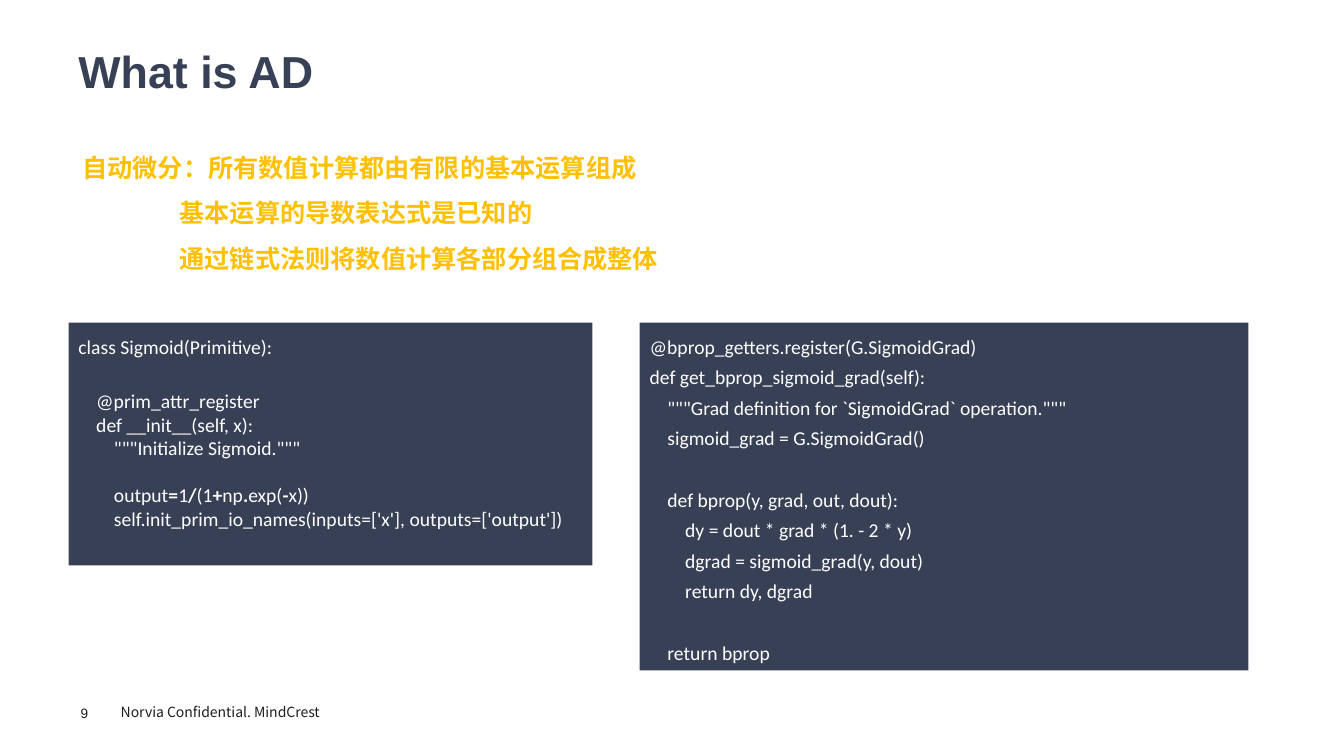
from lxml import etree
from pptx import Presentation
from pptx.dml.color import RGBColor
from pptx.enum.shapes import MSO_SHAPE
from pptx.enum.text import MSO_ANCHOR, PP_ALIGN
from pptx.oxml.ns import qn
from pptx.util import Pt

RECTANGLE = MSO_SHAPE.RECTANGLE
TOP, MIDDLE = MSO_ANCHOR.TOP, MSO_ANCHOR.MIDDLE
LEFT = PP_ALIGN.LEFT

COLORS = {"navy": "384056", "amber": "FFC000", "white": "FFFFFF", "ink": "1D1D1B"}
CJK_FONT = "Noto Sans CJK SC"
CODE_INDENT = 12.7


class SlideBuilder:
    def __init__(self, slide):
        self.slide = slide

    def line(self, frame, runs, size, font, color, first=False, bold=False,
             spacing=1.0, indent=0, gap=0):
        """Write one paragraph; every second run of a list is bold."""
        paragraph = frame.paragraphs[0] if first else frame.add_paragraph()
        paragraph.alignment = LEFT
        paragraph.line_spacing = spacing
        paragraph.space_before = Pt(gap)
        paragraph._p.get_or_add_pPr().set("marL", str(Pt(indent)))
        for number, words in enumerate([runs] if isinstance(runs, str) else runs):
            run = paragraph.add_run()
            run.text = words
            run.font.size = Pt(size)
            run.font.name = font
            run.font.bold = bold or number % 2 == 1
            run.font.color.rgb = RGBColor.from_string(COLORS[color])
            east_asian = etree.Element(qn("a:ea"), typeface=CJK_FONT)
            run._r.rPr.find(qn("a:latin")).addnext(east_asian)

    def text(self, box, lines, size, font, color, anchor=TOP, inset=True, **style):
        frame = self.slide.shapes.add_textbox(*map(Pt, box)).text_frame
        frame.word_wrap = True
        frame.vertical_anchor = anchor
        if not inset:
            frame.margin_left = frame.margin_right = 0
            frame.margin_top = frame.margin_bottom = 0
        for number, (words, indent) in enumerate(lines):
            self.line(frame, words, size, font, color, first=number == 0,
                      indent=indent, **style)

    def code(self, box, lines):
        """Each line is (indent level, runs, line spacing, gap above)."""
        panel = self.slide.shapes.add_shape(RECTANGLE, *map(Pt, box))
        panel.shadow.inherit = False
        panel.fill.solid()
        panel.fill.fore_color.rgb = RGBColor.from_string(COLORS["navy"])
        panel.line.fill.background()
        frame = panel.text_frame
        frame.word_wrap = True
        frame.vertical_anchor = TOP
        for number, (level, runs, spacing, gap) in enumerate(lines):
            self.line(frame, runs, 14, "Calibri", "white", first=number == 0,
                      spacing=spacing, indent=level * CODE_INDENT, gap=gap)


def main():
    deck = Presentation()
    deck.slide_width, deck.slide_height = Pt(960.5), Pt(540)
    builder = SlideBuilder(deck.slides.add_slide(deck.slide_layouts[6]))

    # Title
    builder.text((49, 27.4, 863, 46), [("What is AD", 0)], 32, "Arial", "navy",
                 anchor=MIDDLE, bold=True)

    # Principles of automatic differentiation
    builder.text((51.8, 94.3, 452, 101.5), [
        ("自动微分：所有数值计算都由有限的基本运算组成", 0),
        ("基本运算的导数表达式是已知的", 69.5),
        ("通过链式法则将数值计算各部分组合成整体", 69.5),
    ], 18, "Arial", "amber", bold=True, spacing=1.5)

    # Gradient code
    builder.code((457.2, 230.4, 435, 248.4), [
        (0, "@bprop_getters.register(G.SigmoidGrad)", 1.3, 0),
        (0, "def get_bprop_sigmoid_grad(self):", 1.3, 0),
        (1, '"""Grad definition for `SigmoidGrad` operation."""', 1.3, 0),
        (1, "sigmoid_grad = G.SigmoidGrad()", 1.3, 0),
        (1, "def bprop(y, grad, out, dout):", 1.3, 22),
        (2, "dy = dout * grad * (1. - 2 * y)", 1.3, 0),
        (2, "dgrad = sigmoid_grad(y, dout)", 1.3, 0),
        (2, "return dy, dgrad", 1.3, 0),
        (1, "return bprop", 1.3, 22),
    ])

    # Primitive code
    sigmoid = ["output", "=", "1", "/", "(1", "+", "np", ".", "exp(", "-", "x))"]
    builder.code((49, 230.4, 374.4, 173.5), [
        (0, "class Sigmoid(Primitive):", 1.3, 0),
        (1, "@prim_attr_register", 1, 22),
        (1, "def __init__(self, x):", 1, 0),
        (2, '"""Initialize Sigmoid."""', 1, 0),
        (2, sigmoid, 1, 17),
        (2, "self.init_prim_io_names(inputs=['x'], outputs=['output'])", 1, 0),
    ])

    # Footer
    builder.text((57.6, 503.3, 39.6, 11.5), [("9", 0)], 9.7, "Arial", "ink", inset=False)
    builder.text((79.2, 496.8, 196, 21.6), [("Norvia Confidential. MindCrest", 0)],
                 10, CJK_FONT, "ink", spacing=1.2)

    deck.save("out.pptx")


if __name__ == "__main__":
    main()
